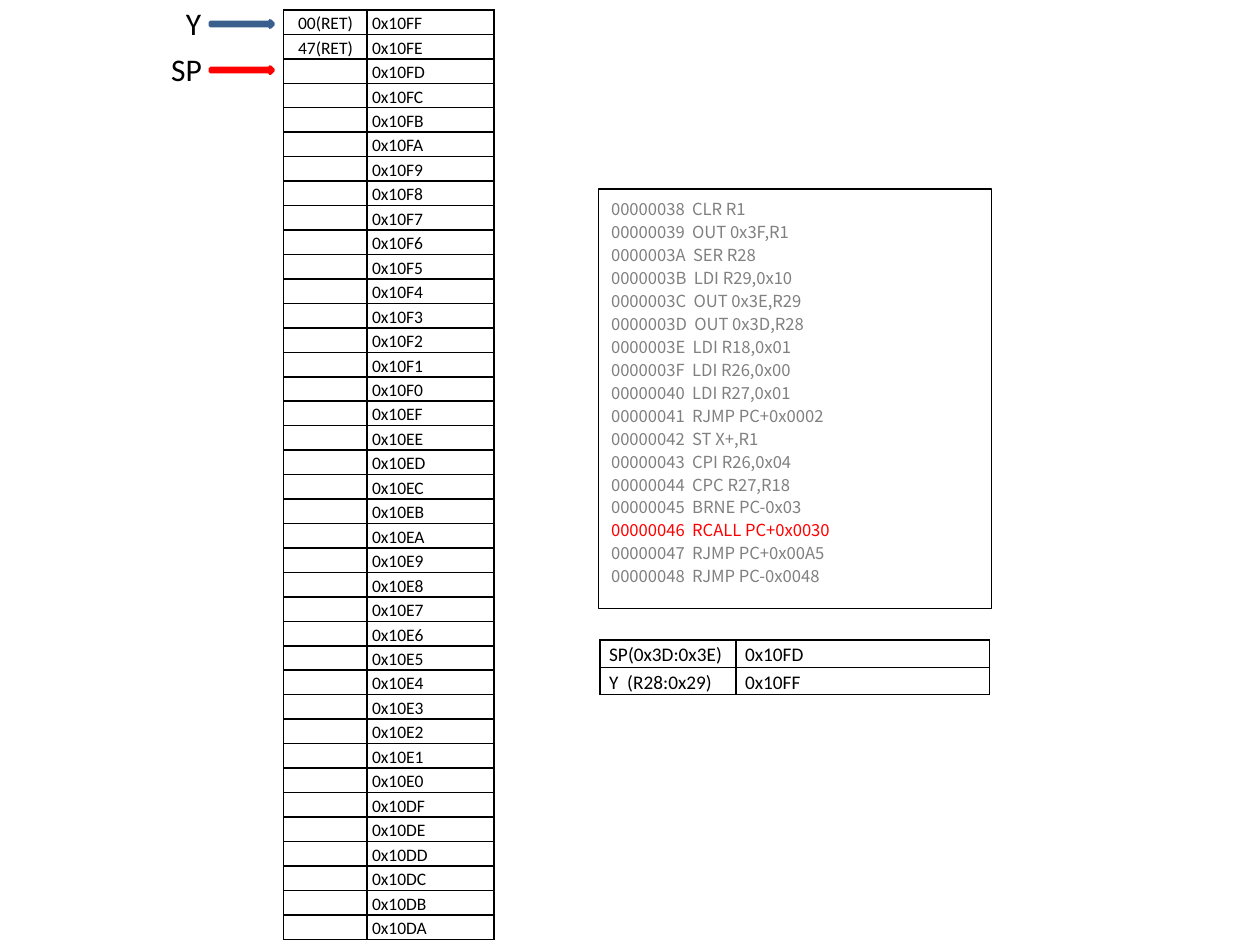
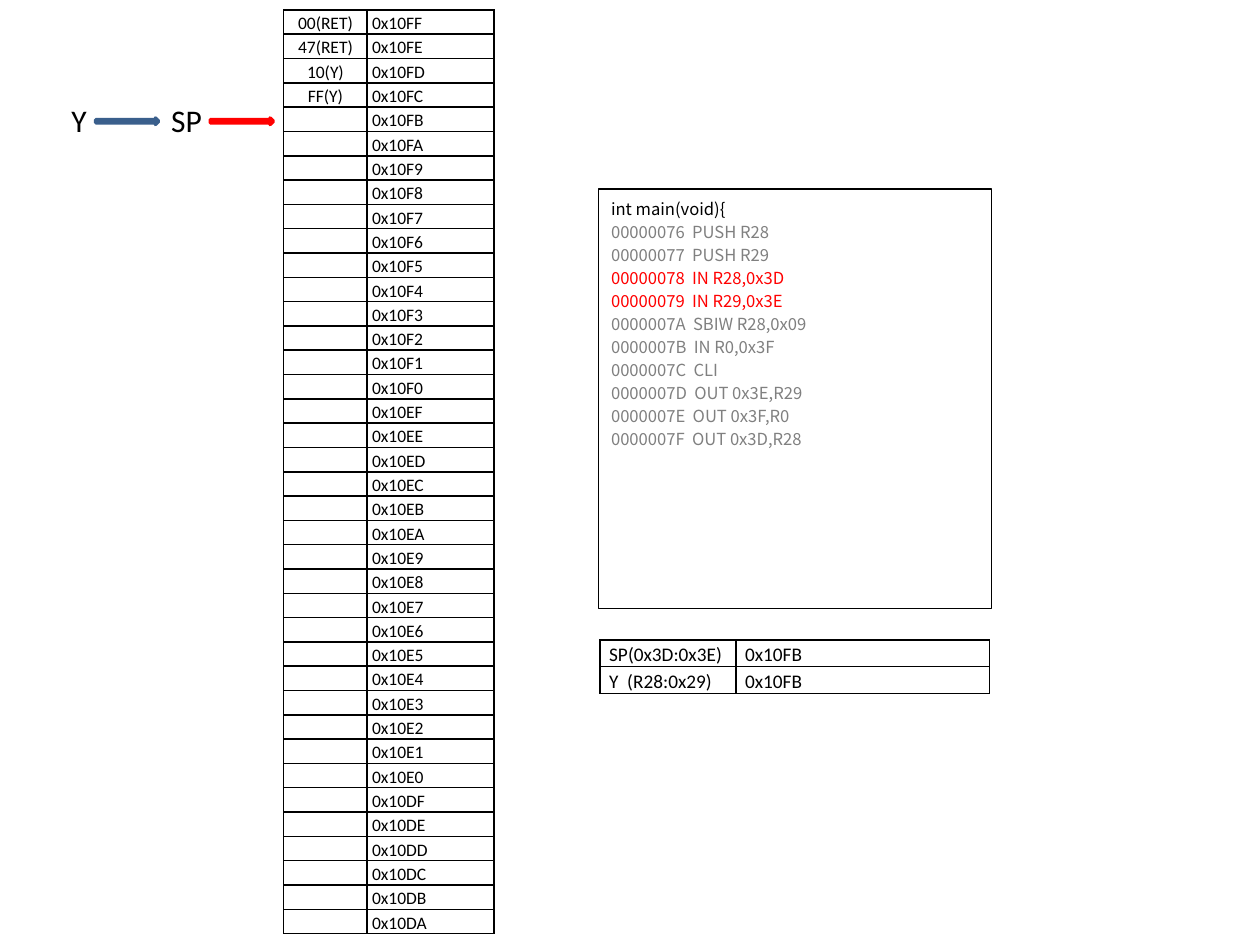
from dataclasses import dataclass

from lxml import etree
from pptx import Presentation
from pptx.dml.color import RGBColor
from pptx.enum.shapes import MSO_SHAPE
from pptx.enum.text import MSO_ANCHOR, PP_ALIGN
from pptx.oxml.ns import qn
from pptx.util import Cm, Pt

RECTANGLE = MSO_SHAPE.RECTANGLE
RIGHT_ARROW = MSO_SHAPE.RIGHT_ARROW
TOP = MSO_ANCHOR.TOP
LEFT = PP_ALIGN.LEFT
CENTER = PP_ALIGN.CENTER


@dataclass(frozen=True)
class Theme:
    text_font: str = "Calibri"
    code_font: str = "Noto Sans CJK SC"
    black: str = "000000"
    white: str = "FFFFFF"
    dimmed: str = "808080"
    active: str = "FF0000"
    pointer_fill: str = "4F81BD"
    frame_pointer: str = "3A5F8C"
    stack_size: float = 10
    register_size: float = 11
    code_size: float = 9.5
    code_pitch: float = 13.1
    label_size: float = 18
    table_spacing: float = 1.15


THEME = Theme()
STACK_TOP_ADDRESS = 0x10FF
STACK_ROWS = 38
LABEL_WIDTHS = {"Y": 0.64, "SP": 1.14}
LABEL_OFFSETS = {"Y": 0.74, "SP": 1.04}
POINTER_COLORS = {"Y": THEME.frame_pointer, "SP": THEME.active}

STARTUP_CODE = """00000038  CLR R1
00000039  OUT 0x3F,R1
0000003A  SER R28
0000003B  LDI R29,0x10
0000003C  OUT 0x3E,R29
0000003D  OUT 0x3D,R28
0000003E  LDI R18,0x01
0000003F  LDI R26,0x00
00000040  LDI R27,0x01
00000041  RJMP PC+0x0002
00000042  ST X+,R1
00000043  CPI R26,0x04
00000044  CPC R27,R18
00000045  BRNE PC-0x03
00000046  RCALL PC+0x0030
00000047  RJMP PC+0x00A5
00000048  RJMP PC-0x0048"""

MAIN_CODE = """int main(void){
00000076  PUSH R28
00000077  PUSH R29
00000078  IN R28,0x3D
00000079  IN R29,0x3E
0000007A  SBIW R28,0x09
0000007B  IN R0,0x3F
0000007C  CLI
0000007D  OUT 0x3E,R29
0000007E  OUT 0x3F,R0
0000007F  OUT 0x3D,R28"""


def style_para(para, font, size, color):
    for span in para.runs:
        span.font.name = font
        span.font.size = Pt(size)
        span.font.color.rgb = RGBColor.from_string(color)


def add_borders(cell):
    properties = cell._tc.get_or_add_tcPr()
    for side in ("a:lnL", "a:lnR", "a:lnT", "a:lnB"):
        line = etree.SubElement(properties, qn(side), w=str(Pt(1)))
        fill = etree.SubElement(line, qn("a:solidFill"))
        etree.SubElement(fill, qn("a:srgbClr"), val=THEME.black)


def fill_cell(cell, text, size, margin, align):
    add_borders(cell)
    cell.fill.background()
    cell.margin_left = cell.margin_right = Cm(margin)
    cell.margin_top = cell.margin_bottom = 0
    cell.text_frame.text = text
    para = cell.text_frame.paragraphs[0]
    para.alignment = align
    para.line_spacing = THEME.table_spacing
    style_para(para, THEME.text_font, size, THEME.black)
    if not text:
        etree.SubElement(para._p, qn("a:endParaRPr"), sz=str(int(size * 100)))


def add_grid(page, left, top, widths, row_height, rows, size, margin, aligns):
    frame = page.shapes.add_table(len(rows), len(widths), Cm(left), Cm(top),
                                  Cm(sum(widths)), Cm(row_height * len(rows)))
    table = frame.table
    table.first_row = table.horz_banding = False
    for column, width in zip(table.columns, widths):
        column.width = Cm(width)
    for row, texts in zip(table.rows, rows):
        row.height = Cm(row_height)
        for cell, text, align in zip(row.cells, texts, aligns):
            fill_cell(cell, text, size, margin, align)


def add_stack(page, contents):
    values = contents + [""] * (STACK_ROWS - len(contents))
    rows = [(value, f"0x{STACK_TOP_ADDRESS - index:X}") for index, value in enumerate(values)]
    add_grid(page, 5.72, 0.2, (1.68, 2.56), 0.49, rows, THEME.stack_size, 0.1, (CENTER, LEFT))


def add_registers(page, stack_pointer, frame_pointer):
    rows = [("SP(0x3D:0x3E)", stack_pointer), ("Y  (R28:0x29)", frame_pointer)]
    add_grid(page, 12.1, 12.9, (2.74, 5.11), 0.54, rows, THEME.register_size, 0.18, (LEFT, LEFT))


def add_shape(shapes, kind, left, top, width, height, fill, line, weight):
    shape = shapes.add_shape(kind, Cm(left), Cm(top), Cm(width), Cm(height))
    shape.shadow.inherit = False
    shape.fill.solid()
    shape.fill.fore_color.rgb = RGBColor.from_string(fill)
    shape.line.color.rgb = RGBColor.from_string(line)
    shape.line.width = Pt(weight)
    return shape


def code_color(line, active):
    if not line[0].isdigit():
        return THEME.black
    return THEME.active if line.split()[0] in active else THEME.dimmed


def add_code(page, code, active):
    box = add_shape(page.shapes, RECTANGLE, 12.07, 3.81, 7.92, 8.46,
                    THEME.white, THEME.black, 0.75)
    frame = box.text_frame
    frame.word_wrap = True
    frame.vertical_anchor = TOP
    frame.margin_top = Cm(0.15)
    frame.text = code
    for para in frame.paragraphs:
        para.alignment = LEFT
        para.line_spacing = Pt(THEME.code_pitch)
        style_para(para, THEME.code_font, THEME.code_size, code_color(para.text, active))


def add_pointer(page, label, left, top):
    group = page.shapes.add_group_shape()
    add_shape(group.shapes, RIGHT_ARROW, left, top, 1.27, 0.13,
              THEME.pointer_fill, POINTER_COLORS[label], 2)
    box = group.shapes.add_textbox(Cm(left - LABEL_OFFSETS[label]), Cm(top - 0.46),
                                   Cm(LABEL_WIDTHS[label]), Cm(1.02))
    frame = box.text_frame
    frame.word_wrap = True
    frame.margin_right = 0
    frame.text = label
    style_para(frame.paragraphs[0], THEME.text_font, THEME.label_size, THEME.black)


def add_state(deck, contents, registers, code, active, pointers):
    page = deck.slides.add_slide(deck.slide_layouts[6])
    add_stack(page, contents)
    add_registers(page, *registers)
    add_code(page, code, active)
    for label, left, top in pointers:
        add_pointer(page, label, left, top)


def main():
    deck = Presentation()
    deck.slide_width, deck.slide_height = Cm(25.4), Cm(19.05)
    return_address = ["00(RET)", "47(RET)"]
    add_state(deck, return_address, ("0x10FD", "0x10FF"), STARTUP_CODE, {"00000046"},
              [("Y", 4.24, 0.42), ("SP", 4.24, 1.35)])
    add_state(deck, return_address + ["10(Y)", "FF(Y)"], ("0x10FB", "0x10FB"), MAIN_CODE,
              {"00000078", "00000079"}, [("Y", 1.93, 2.38), ("SP", 4.24, 2.38)])
    deck.save("out.pptx")


if __name__ == "__main__":
    main()
